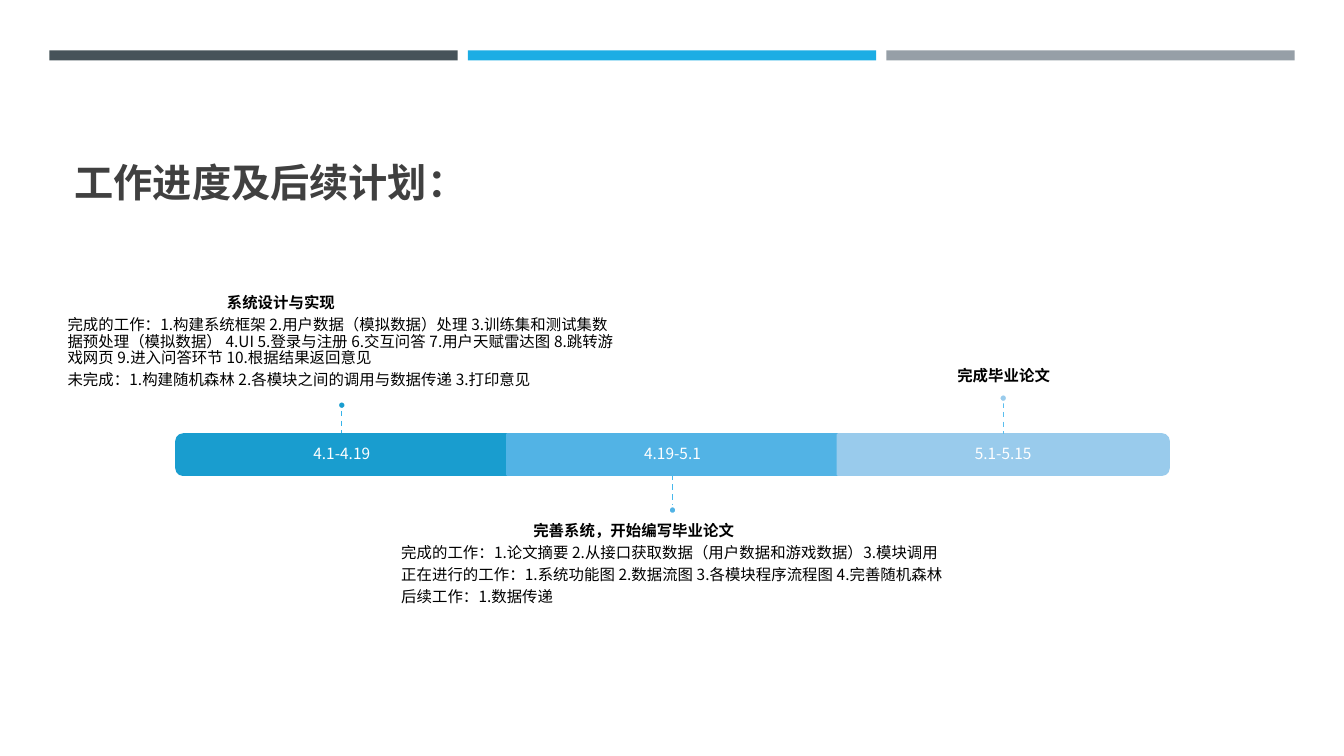
from lxml.etree import SubElement
from pptx import Presentation
from pptx.dml.color import RGBColor
from pptx.enum.dml import MSO_LINE
from pptx.enum.shapes import MSO_CONNECTOR, MSO_SHAPE
from pptx.enum.text import MSO_ANCHOR, PP_ALIGN
from pptx.oxml.ns import qn
from pptx.util import Inches, Pt

FONT = "Noto Sans CJK SC"


def paint(fill, tint):
    fill.solid()
    fill.fore_color.rgb = RGBColor.from_string(tint)


def write(para, text, size, tint, bold=False):
    run = para.add_run()
    run.text = text
    font = run.font
    font.name, font.size, font.bold = FONT, Pt(size), bold
    paint(font.fill, tint)
    SubElement(font._element, qn("a:ea")).set("typeface", FONT)


deck = Presentation()
deck.slide_width, deck.slide_height = Inches(13.33), Inches(7.5)
slide = deck.slides.add_slide(deck.slide_layouts[5])
shapes = slide.shapes

for i, tint in enumerate(["465359", "1CADE4", "969FA7"]):
    strip = shapes.add_shape(MSO_SHAPE.RECTANGLE, Inches(0.49 + 4.15 * i),
                             Inches(0.5), Inches(4.05), Inches(0.1))
    strip.shadow.inherit = False
    paint(strip.fill, tint)
    strip.line.fill.background()

title = shapes.title
title.left, title.top = Inches(0.64), Inches(0.79)
title.width, title.height = Inches(12.06), Inches(1.3)
title.text_frame.vertical_anchor = MSO_ANCHOR.BOTTOM
para = title.text_frame.paragraphs[0]
para.alignment = PP_ALIGN.LEFT
write(para, "工作进度及后续计划：", 28, "404040", True)

WIDE, HIGH, LEFT, TOP = 3.28, 0.4, 1.75, 4.31
ROUND, RECT = MSO_SHAPE.ROUND_2_SAME_RECTANGLE, MSO_SHAPE.RECTANGLE
steps = [
    ("4.1-4.19", ROUND, 270, "199DCF", "36B3E9", 3.98, 4.3, 4.02),
    ("4.19-5.1", RECT, 0, "52B3E5", "48B8EC", 4.71, 5.02, 5.06),
    ("5.1-5.15", ROUND, 90, "99CBEC", "5ABEEF", 3.99, 4.31, 3.95),
]
for i, (date, kind, turn, tint, dash, start, end, spot) in enumerate(steps):
    left = LEFT + WIDE * i
    mid = left + WIDE / 2
    wide, high = (HIGH, WIDE) if turn else (WIDE, HIGH)
    bar = shapes.add_shape(kind, Inches(mid - wide / 2), Inches(TOP + HIGH / 2 - high / 2),
                           Inches(wide), Inches(high))
    bar.rotation = turn
    bar.shadow.inherit = False
    paint(bar.fill, tint)
    paint(bar.line.fill, tint)
    bar.line.width = Pt(1.75)

    label = shapes.add_textbox(Inches(left), Inches(TOP), Inches(WIDE), Inches(HIGH))
    frame = label.text_frame
    frame.word_wrap = True
    frame.vertical_anchor = MSO_ANCHOR.MIDDLE
    para = frame.paragraphs[0]
    para.alignment = PP_ALIGN.CENTER
    para.line_spacing = 0.9
    write(para, date, 11, "FFFFFF")

    stem = shapes.add_connector(MSO_CONNECTOR.STRAIGHT, Inches(mid), Inches(start),
                                Inches(mid), Inches(end))
    paint(stem.line.fill, dash)
    stem.line.width = Pt(1)
    stem.line.dash_style = MSO_LINE.DASH
    SubElement(stem._element.spPr, qn("a:effectLst"))

    dot = shapes.add_shape(MSO_SHAPE.OVAL, Inches(mid - 0.04), Inches(spot - 0.04),
                           Inches(0.08), Inches(0.08))
    dot.shadow.inherit = False
    paint(dot.fill, tint)
    paint(dot.line.fill, "FFFFFF")
    dot.line.width = Pt(1.75)

notes = [
    (0.67, 2.44, 5.49, 1.51, True, 1.58, "系统设计与实现", [
        "完成的工作：1.构建系统框架 2.用户数据（模拟数据）处理 3.训练集和测试集数据预处理"
        "（模拟数据） 4.UI 5.登录与注册 6.交互问答 7.用户天赋雷达图 8.跳转游戏网页 "
        "9.进入问答环节 10.根据结果返回意见",
        "未完成：1.构建随机森林 2.各模块之间的调用与数据传递 3.打印意见"]),
    (3.98, 5.1, 5.47, 1.39, False, 1.31, "完善系统，开始编写毕业论文", [
        "完成的工作：1.论文摘要 2.从接口获取数据（用户数据和游戏数据）3.模块调用",
        "正在进行的工作：1.系统功能图 2.数据流图 3.各模块程序流程图 4.完善随机森林",
        "后续工作：1.数据传递"]),
    (7.22, 2.52, 5.47, 1.39, True, 0, "完成毕业论文", []),
]
for left, top, wide, high, above, indent, head, lines in notes:
    note = shapes.add_textbox(Inches(left), Inches(top), Inches(wide), Inches(high))
    frame = note.text_frame
    frame.word_wrap = True
    frame.margin_left = frame.margin_right = 0
    frame.margin_top = Inches(0 if above else 0.09)
    frame.margin_bottom = Inches(0.09 if above else 0)
    frame.vertical_anchor = MSO_ANCHOR.BOTTOM if above else MSO_ANCHOR.TOP
    for i, text in enumerate([head] + lines):
        para = frame.add_paragraph() if i else frame.paragraphs[0]
        para.alignment = PP_ALIGN.LEFT if lines else PP_ALIGN.CENTER
        para.line_spacing = 0.9
        para.space_after = Pt(3.85)
        if not i and indent:
            para._p.get_or_add_pPr().set("indent", str(Inches(indent)))
        write(para, text, 11, "000000", i == 0)

deck.save("out.pptx")
